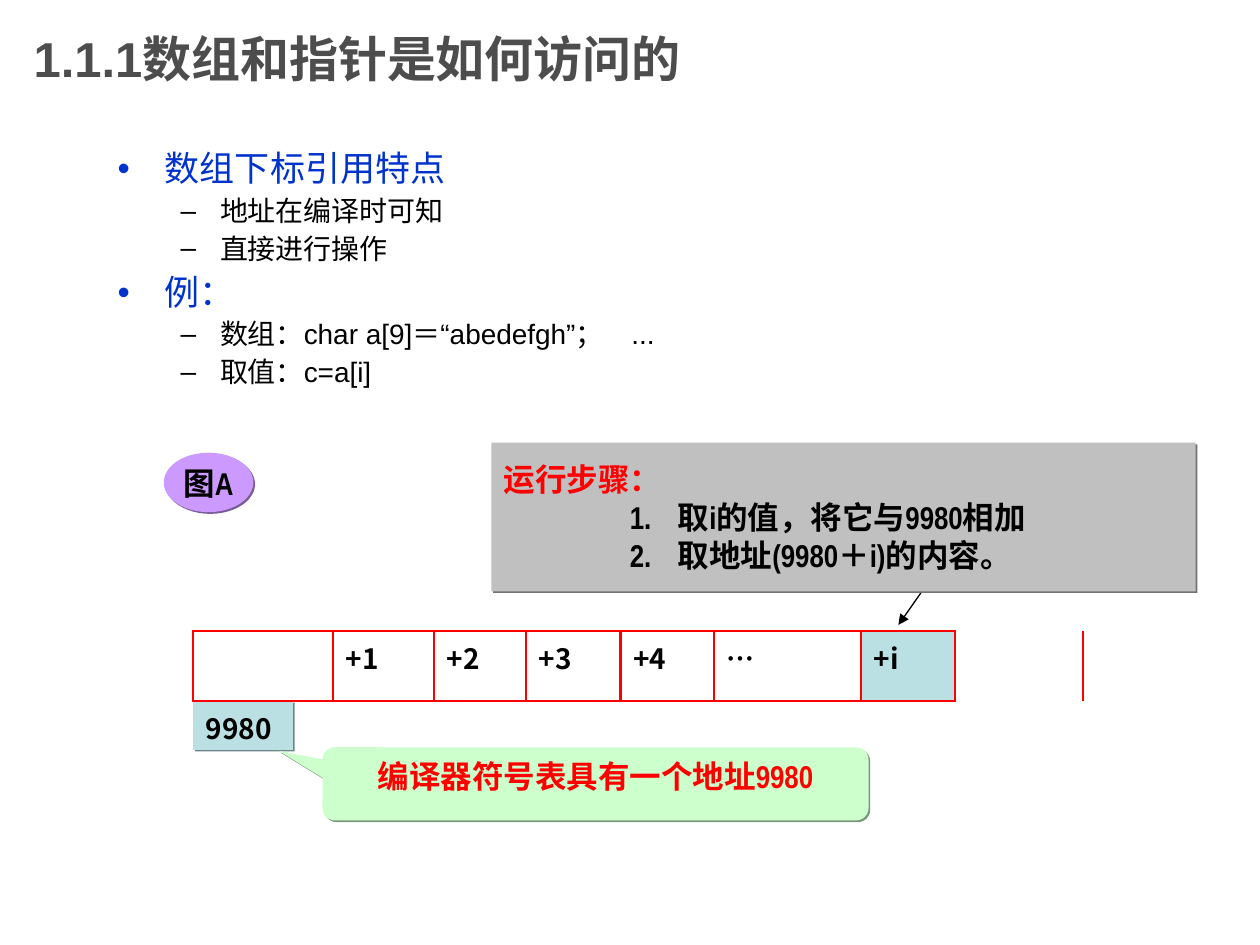
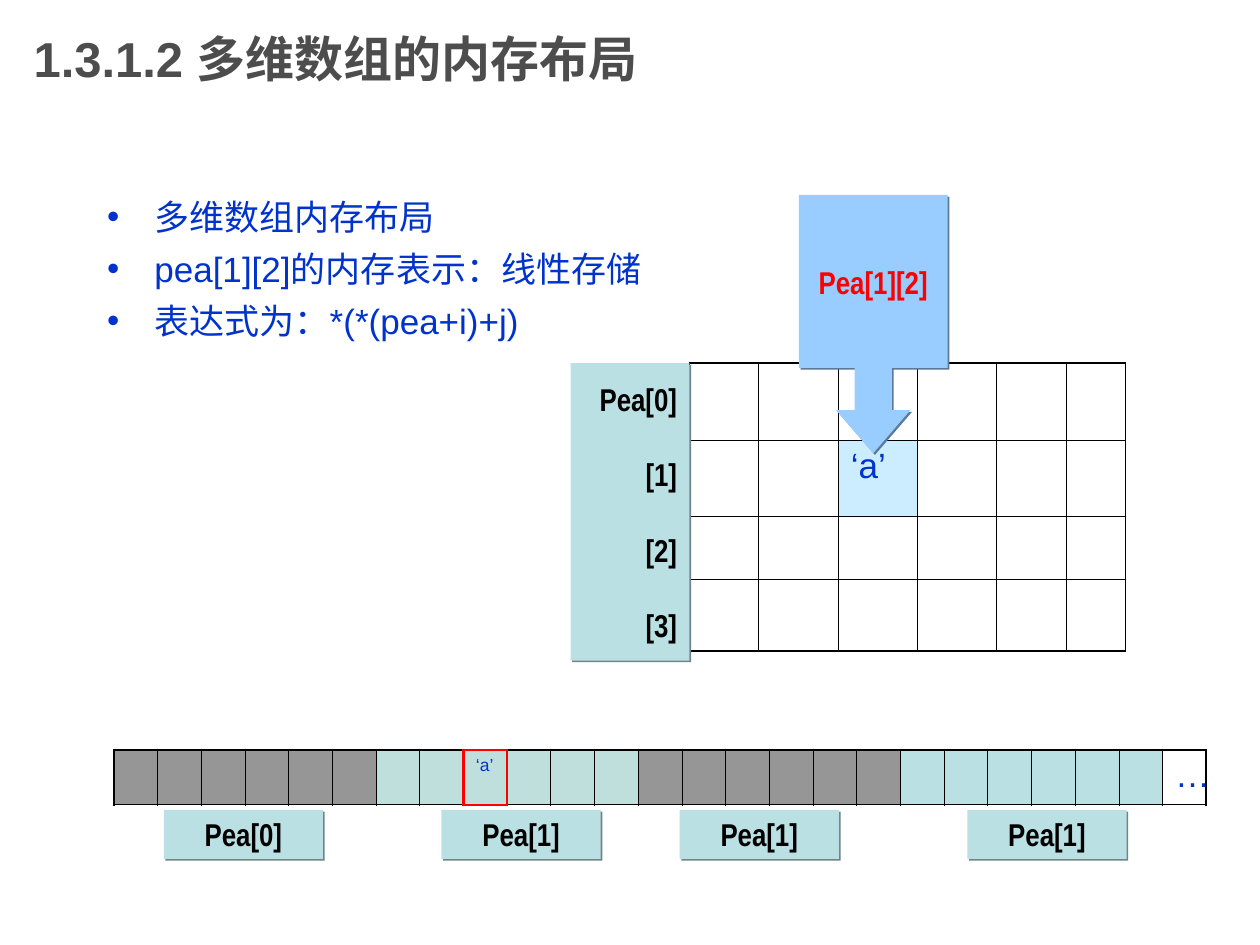
from dataclasses import dataclass, field
from typing import Optional

from lxml import etree
from pptx import Presentation
from pptx.dml.color import RGBColor
from pptx.enum import shapes, text
from pptx.oxml import ns
from pptx.util import Pt


@dataclass(frozen=True)
class Theme:
    heading: str = "4D4D4D"
    blue: str = "0033CC"
    black: str = "000000"
    red: str = "FF0000"
    teal: str = "BBE0E3"
    teal_shade: str = "6F8587"
    teal_row: str = "BFDFDD"
    gray: str = "969696"
    panel: str = "C0C0C0"
    panel_shade: str = "727272"
    green: str = "CCFFCC"
    green_shade: str = "799879"
    purple: str = "CC99FF"
    purple_shade: str = "795B98"
    sky: str = "99CCFF"
    sky_shade: str = "5B7998"
    pale: str = "CCECFF"
    sans: str = "Arial"
    narrow: str = "Arial Narrow"
    cjk: str = "Noto Sans CJK SC"
    title_size: float = 28
    list_size: float = 20
    sublist_size: float = 16
    label_size: float = 18
    small_size: float = 10


THEME = Theme()


@dataclass(frozen=True)
class Line:
    color: str
    width: float


RED = Line(THEME.red, 1.47)
THICK = Line(THEME.black, 1.08)
THIN = Line(THEME.black, 0.45)


@dataclass(frozen=True)
class Para:
    text: str
    color: str = THEME.black
    numbered: bool = False


@dataclass(frozen=True)
class Box:
    kind: shapes.MSO_SHAPE
    frame: tuple[float, float, float, float]
    fill: str
    shade: str
    paras: tuple[Para, ...] = ()
    align: text.PP_ALIGN = text.PP_ALIGN.CENTER
    anchor: text.MSO_ANCHOR = text.MSO_ANCHOR.MIDDLE
    adjust: tuple[float, ...] = ()
    gap: float = 0
    wrap: bool = True


@dataclass
class Cell:
    text: str = ""
    format: dict = field(default_factory=dict)
    fill: Optional[str] = None
    alpha: int = 100
    edges: dict[str, Line] = field(default_factory=dict)


@dataclass(frozen=True)
class Level:
    format: dict
    margin: float
    indent: float
    space: float


def text_format(size: float, color: str, name: str = THEME.sans, bold: bool = False) -> dict:
    return {"size": Pt(size), "bold": bold, "name": name, "color": color}


LEVELS = (
    Level(text_format(THEME.list_size, THEME.blue), 27, -27, 5.8),
    Level(text_format(THEME.sublist_size, THEME.black), 58.5, -22.5, 4.4),
)
TITLE = text_format(THEME.title_size, THEME.heading, bold=True)
INDEX = text_format(THEME.sublist_size, THEME.black, THEME.cjk, True)
NO_GRID_STYLE = "{2D5ABB26-0587-4C30-8999-92F81FD0307C}"


def rgb(color: str) -> RGBColor:
    return RGBColor.from_string(color)


def add_element(parent, tag: str, **attributes):
    element = etree.SubElement(parent, ns.qn(tag))
    for name, value in attributes.items():
        element.set(name, str(value))
    return element


def add_span(para, words: str, values: dict) -> None:
    span = para.add_run()
    span.text = words
    for name, value in values.items():
        if name == "color":
            span.font.color.rgb = rgb(value)
        else:
            setattr(span.font, name, value)
    add_element(span._r.get_or_add_rPr(), "a:ea", typeface=values["name"])


def set_indent(para, margin: float, indent: float):
    properties = para._p.get_or_add_pPr()
    properties.set("marL", str(Pt(margin)))
    properties.set("indent", str(Pt(indent)))
    return properties


def next_para(frame, position: int):
    return frame.add_paragraph() if position else frame.paragraphs[0]


def place(shape, frame: tuple[float, float, float, float]) -> None:
    for name, value in zip(("left", "top", "width", "height"), frame):
        setattr(shape, name, Pt(value))


def add_page(deck, title: str, items: list[tuple[int, str]], frame, spacing: float):
    """Add a page with its title and a bulleted list of (level, words)."""
    page = deck.slides.add_slide(deck.slide_layouts[1])
    heading, body = page.placeholders
    place(heading, (12, 0, 540, 66))
    place(body, frame)
    for holder, anchor in ((heading, text.MSO_ANCHOR.MIDDLE), (body, text.MSO_ANCHOR.TOP)):
        holder.text_frame.auto_size = text.MSO_AUTO_SIZE.NONE
        holder.text_frame.vertical_anchor = anchor
    para = heading.text_frame.paragraphs[0]
    para.alignment = text.PP_ALIGN.LEFT
    add_span(para, title, TITLE)
    for position, (depth, words) in enumerate(items):
        level = LEVELS[depth]
        para = next_para(body.text_frame, position)
        para.level = depth
        para.line_spacing = spacing
        para.space_before = Pt(level.space if position else 0)
        set_indent(para, level.margin, level.indent)
        add_span(para, words, level.format)
    return page


def add_box(page, box: Box) -> None:
    shape = page.shapes.add_shape(box.kind, *map(Pt, box.frame))
    for position, value in enumerate(box.adjust):
        shape.adjustments[position] = value
    shape.fill.solid()
    shape.fill.fore_color.rgb = rgb(box.fill)
    shape.line.fill.background()
    shape.shadow.inherit = False
    effects = shape._element.spPr.find(ns.qn("a:effectLst"))
    shadow = add_element(effects, "a:outerShdw", dist=Pt(1.4), dir=45 * 60000, algn="ctr", rotWithShape=0)
    add_element(shadow, "a:srgbClr", val=box.shade)
    frame = shape.text_frame
    frame.word_wrap = box.wrap
    frame.vertical_anchor = box.anchor
    for position, item in enumerate(box.paras):
        para = next_para(frame, position)
        para.alignment = box.align
        para.space_before = Pt(box.gap if position else 0)
        if item.numbered:
            properties = set_indent(para, 99.4, -27.4)
            add_element(properties, "a:buFont", typeface=THEME.cjk)
            add_element(properties, "a:buAutoNum", type="arabicPeriod")
        add_span(para, item.text, text_format(THEME.label_size, item.color, THEME.narrow, True))


def add_arrow(page, start: tuple[float, float], end: tuple[float, float]) -> None:
    arrow = page.shapes.add_connector(shapes.MSO_CONNECTOR.STRAIGHT, *map(Pt, start + end))
    arrow.line.color.rgb = rgb(THEME.black)
    arrow.line.width = Pt(0.75)
    add_element(arrow.line._get_or_add_ln(), "a:tailEnd", type="triangle")
    add_element(arrow._element.spPr, "a:effectLst")


def fill_cell(target, cell: Cell) -> None:
    properties = target._tc.get_or_add_tcPr()
    for side in "LRTB":
        if side in cell.edges:
            edge = cell.edges[side]
            line = add_element(properties, f"a:ln{side}", w=Pt(edge.width))
            add_element(add_element(line, "a:solidFill"), "a:srgbClr", val=edge.color)
    if cell.fill:
        target.fill.solid()
        target.fill.fore_color.rgb = rgb(cell.fill)
        if cell.alpha < 100:
            color = properties.find(f".//{ns.qn('a:solidFill')}/../{ns.qn('a:solidFill')}[last()]/{ns.qn('a:srgbClr')}")
            add_element(color, "a:alpha", val=cell.alpha * 1000)
    else:
        target.fill.background()
    if cell.text:
        add_span(target.text_frame.paragraphs[0], cell.text, cell.format)


def add_grid(page, left: float, top: float, widths: list[float], heights: list[float],
             cells: list[list[Cell]]) -> None:
    holder = page.shapes.add_table(len(heights), len(widths), Pt(left), Pt(top),
                                   Pt(sum(widths)), Pt(sum(heights)))
    table = holder.table
    table.first_row = table.horz_banding = False
    table._tbl.tblPr.find(ns.qn("a:tableStyleId")).text = NO_GRID_STYLE
    for column, width in zip(table.columns, widths):
        column.width = Pt(width)
    for row, height in zip(table.rows, heights):
        row.height = Pt(height)
    for row, line in enumerate(cells):
        for column, cell in enumerate(line):
            fill_cell(table.cell(row, column), cell)


def framed_cells(rows: int, columns: int) -> list[list[Cell]]:
    """Empty cells with thin inner lines and a thick outer frame."""
    return [[Cell(edges={
        "L": THIN if column else THICK,
        "R": THIN if column < columns - 1 else THICK,
        "T": THIN if row else THICK,
        "B": THIN if row < rows - 1 else THICK,
    }) for column in range(columns)] for row in range(rows)]


def add_access_page(deck) -> None:
    page = add_page(deck, "1.1.1数组和指针是如何访问的", [
        (0, "数组下标引用特点"), (1, "地址在编译时可知"), (1, "直接进行操作"),
        (0, "例："), (1, "数组：char a[9]＝“abedefgh”；　..."), (1, "取值：c=a[i]"),
    ], (60, 83, 538.5, 170), 0.9)
    add_box(page, Box(shapes.MSO_SHAPE.RECTANGLE, (110.4, 400.5, 57, 28), THEME.teal, THEME.teal_shade))
    add_arrow(page, (527, 337.7), (513.4, 357.1))

    labels = ["", "+1", "+2", "+3", "+4", "…", "+i"]
    boxed = dict.fromkeys("LRTB", RED)
    offsets = [Cell(label, INDEX, edges=boxed) for label in labels]
    offsets[-1].fill = THEME.teal
    addresses = [Cell(edges={"T": RED}) for _ in labels]
    addresses[0].text, addresses[0].format = "9980", INDEX
    add_grid(page, 110.4, 360.6, [80, 57.6, 52.6, 54, 53.5, 84, 53.5, 73.5, 64], [40, 31],
             [offsets + [Cell(edges={"L": RED}), Cell()], addresses + [Cell(), Cell()]])

    for box in (
        Box(shapes.MSO_SHAPE.ROUNDED_RECTANGULAR_CALLOUT, (184.3, 427, 312, 41.8),
            THEME.green, THEME.green_shade, (Para("编译器符号表具有一个地址9980", THEME.red),),
            anchor=text.MSO_ANCHOR.TOP, adjust=(-0.58, -0.45, 0.17)),
        Box(shapes.MSO_SHAPE.RECTANGLE, (280.8, 252.9, 402.5, 85), THEME.panel, THEME.panel_shade,
            (Para("运行步骤：", THEME.red), Para("取i的值，将它与9980相加", numbered=True),
             Para("取地址(9980＋i)的内容。", numbered=True)), align=text.PP_ALIGN.LEFT),
        Box(shapes.MSO_SHAPE.OVAL, (93.6, 258.7, 51.2, 34), THEME.purple, THEME.purple_shade,
            (Para("图A"),), wrap=False),
    ):
        add_box(page, box)


def add_layout_page(deck) -> None:
    page = add_page(deck, "1.3.1.2 多维数组的内存布局", [
        (0, "多维数组内存布局"), (0, "pea[1][2]的内存表示：线性存储"), (0, "表达式为：*(*(pea+i)+j)"),
    ], (54, 108, 357, 372), 1.0)

    strip = framed_cells(1, 25)
    groups = ((THEME.gray, 100), (THEME.teal_row, 100), (THEME.gray, 50), (THEME.teal, 50))
    for position, cell in enumerate(strip[0][:-1]):
        cell.fill, cell.alpha = groups[position // 6]
    before, target, after = strip[0][7:10]
    before.edges["R"] = after.edges["L"] = RED
    target.edges = dict.fromkeys("LRTB", RED)
    target.text, target.format = "‘a’", text_format(THEME.small_size, THEME.blue)
    strip[0][-1].text, strip[0][-1].format = "…", LEVELS[0].format
    add_grid(page, 65, 428.5, [25] * 25, [31.3], strip)
    for left, label in ((93.6, "Pea[0]"), (252.3, "Pea[1]"), (388.4, "Pea[1]"), (552.8, "Pea[1]")):
        add_box(page, Box(shapes.MSO_SHAPE.RECTANGLE, (left, 462.8, 91, 28),
                          THEME.teal, THEME.teal_shade, (Para(label),)))

    matrix = framed_cells(4, 6)
    chosen = matrix[1][2]
    chosen.text, chosen.format, chosen.fill = "‘a’", LEVELS[0].format, THEME.pale
    add_grid(page, 394, 207.5, [39.6, 45.4, 45.4, 45, 40.2, 33.6], [44, 43.5, 36, 41], matrix)
    add_box(page, Box(shapes.MSO_SHAPE.RECTANGLE, (326, 207.5, 68, 170), THEME.teal, THEME.teal_shade,
                      tuple(map(Para, ("Pea[0]", "[1]", "[2]", "[3]"))),
                      align=text.PP_ALIGN.RIGHT, gap=21.6))
    add_box(page, Box(shapes.MSO_SHAPE.DOWN_ARROW_CALLOUT, (456.5, 111.4, 85, 147.6),
                      THEME.sky, THEME.sky_shade, (Para("Pea[1][2]", THEME.red),),
                      adjust=(0.25, 0.25, 0.29, 0.67), wrap=False))


def main() -> None:
    deck = Presentation()
    deck.slide_width, deck.slide_height = Pt(720), Pt(540)
    add_access_page(deck)
    add_layout_page(deck)
    deck.save("out.pptx")


if __name__ == "__main__":
    main()
